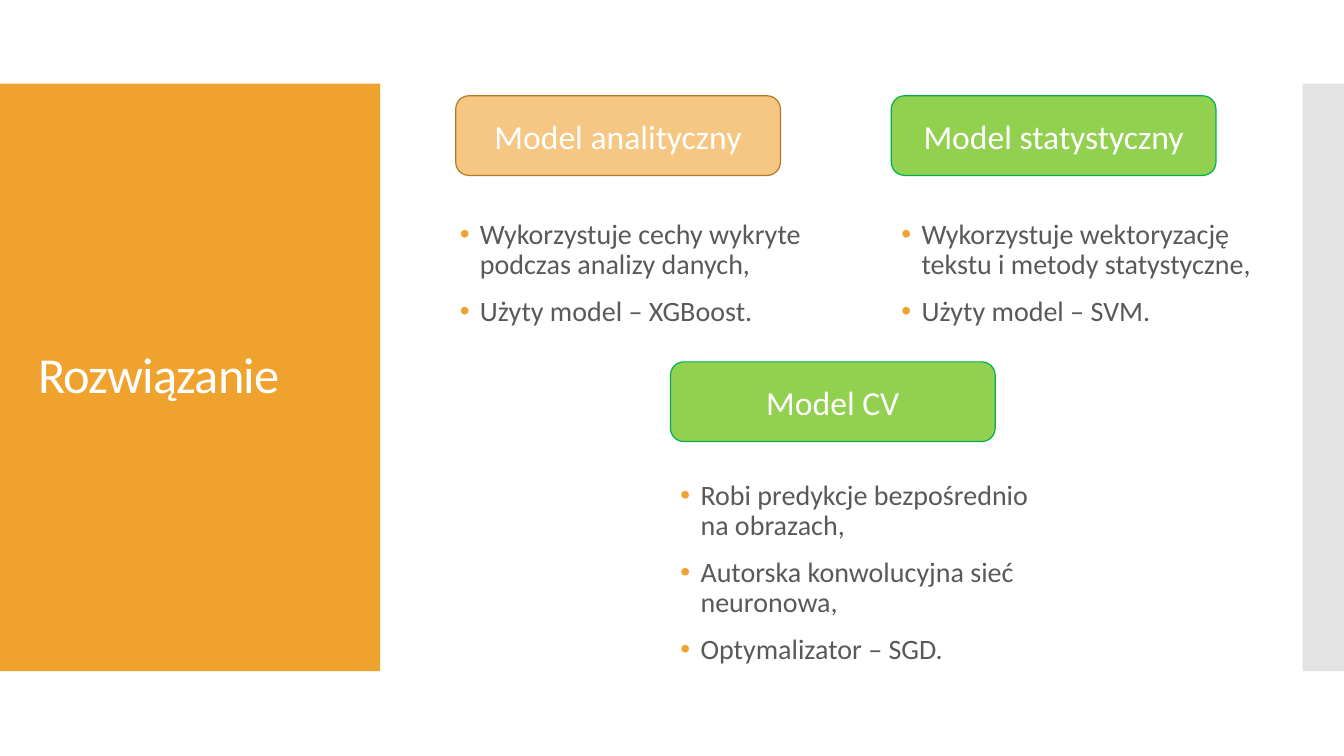
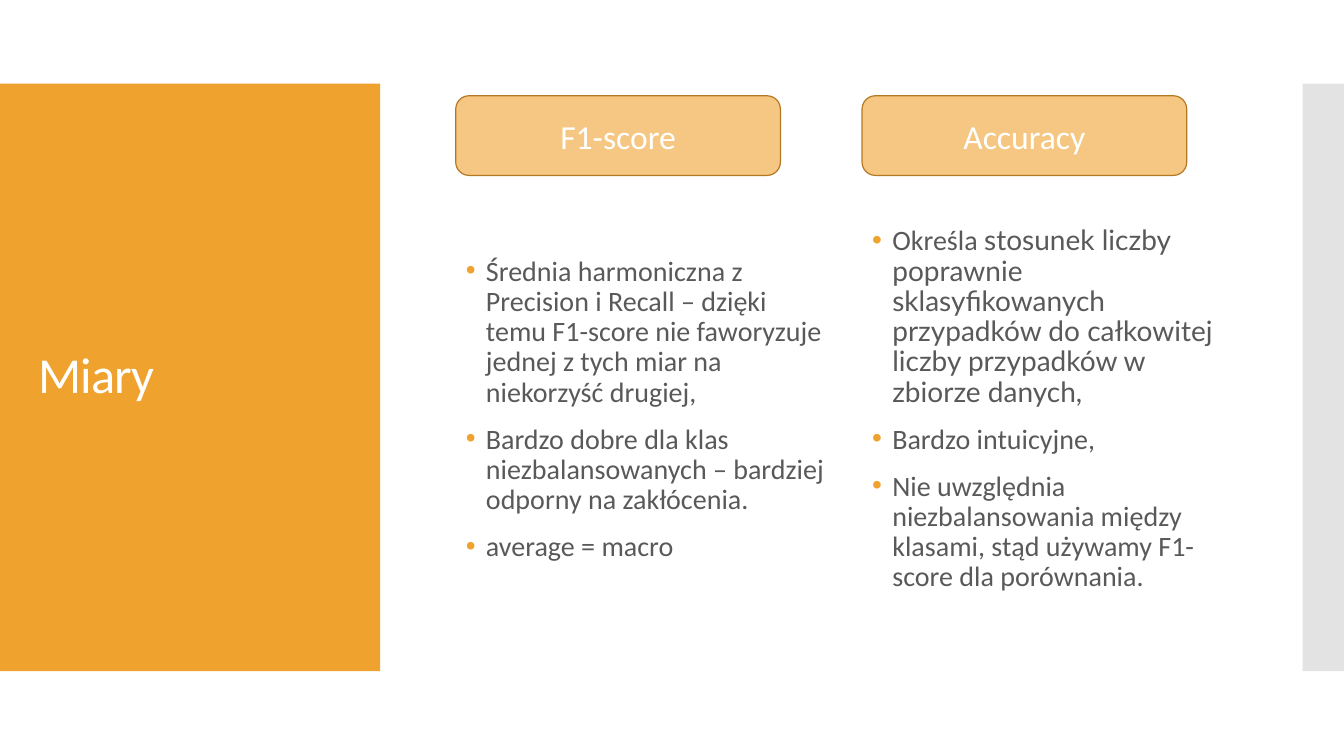
from lxml.etree import SubElement
from pptx import Presentation
from pptx.dml.color import RGBColor
from pptx.enum.shapes import MSO_SHAPE
from pptx.enum.text import MSO_ANCHOR, MSO_AUTO_SIZE, PP_ALIGN
from pptx.oxml.ns import qn
from pptx.util import Inches, Pt

COLORS = {
    "accent": "F0A22E",
    "side": "C8C8C8",
    "white": "FFFFFF",
    "text": "595959",
    "orange_fill": "F6C782",
    "orange_line": "B27822",
    "green_fill": "92D050",
    "green_line": "00B050",
}
FONT = "Calibri"
TITLE_BOX = (0.28, 1.23, 3.22, 5.03)
BANDS = [
    {"box": (0, 0.83, 3.77, 5.83), "color": "accent", "opacity": 100},
    {"box": (12.92, 0.83, 0.42, 5.83), "color": "side", "opacity": 50},
]
LABEL_WIDTH, LABEL_HEIGHT = 3.22, 0.79
LIST_WIDTH = 3.8
TOP_ROW = 0.95

# Each bullet is a list of (text, font) runs or a plain string.
SLIDES = [
    {
        "title": "Rozwiązanie",
        "list_height": 2,
        "columns": [
            {
                "label": "Model analityczny", "tone": "orange",
                "at": (4.52, TOP_ROW), "list_at": (4.46, 1.72),
                "bullets": [
                    "Wykorzystuje cechy wykryte podczas analizy danych,",
                    "Użyty model – XGBoost.",
                ],
            },
            {
                "label": "Model statystyczny", "tone": "green",
                "at": (8.84, TOP_ROW), "list_at": (8.84, 1.72),
                "bullets": [
                    "Wykorzystuje wektoryzację tekstu i metody statystyczne,",
                    "Użyty model – SVM.",
                ],
            },
            {
                "label": "Model CV", "tone": "green",
                "at": (6.65, 3.59), "list_at": (6.65, 4.69),
                "bullets": [
                    "Robi predykcje bezpośrednio na obrazach,",
                    "Autorska konwolucyjna sieć neuronowa,",
                    "Optymalizator – SGD.",
                ],
            },
        ],
    },
    {
        "title": "Miary",
        "list_height": 4.31,
        "columns": [
            {
                "label": "F1-score", "tone": "orange",
                "at": (4.52, TOP_ROW), "list_at": (4.52, 1.91),
                "bullets": [
                    "Średnia harmoniczna z Precision i Recall – dzięki temu F1-score "
                    "nie faworyzuje jednej z tych miar na niekorzyść drugiej,",
                    "Bardzo dobre dla klas niezbalansowanych – bardziej odporny "
                    "na zakłócenia.",
                    "average = macro",
                ],
            },
            {
                "label": "Accuracy", "tone": "orange",
                "at": (8.55, TOP_ROW), "list_at": (8.55, 1.91),
                "bullets": [
                    [
                        ("Określa ", FONT),
                        ("stosunek liczby poprawnie sklasyfikowanych przypadków do "
                         "całkowitej liczby przypadków w zbiorze danych,", "Lato"),
                    ],
                    "Bardzo intuicyjne,",
                    "Nie uwzględnia niezbalansowania między klasami, stąd używamy "
                    "F1-score dla porównania.",
                ],
            },
        ],
    },
]


def rgb(name):
    return RGBColor.from_string(COLORS[name])


def place(shape, box):
    shape.left, shape.top, shape.width, shape.height = map(Inches, box)


def prepare_frame(shape):
    frame = shape.text_frame
    frame.word_wrap = True
    frame.auto_size = MSO_AUTO_SIZE.NONE
    frame.vertical_anchor = MSO_ANCHOR.MIDDLE
    return frame


def add_span(para, text, size, color, font=FONT):
    span = para.add_run()
    span.text = text
    span.font.name = font
    span.font.size = Pt(size)
    span.font.color.rgb = rgb(color)
    return span


def add_plain_shape(slide, kind, box, fill):
    shape = slide.shapes.add_shape(kind, *map(Inches, box))
    shape.shadow.inherit = False
    shape.fill.solid()
    shape.fill.fore_color.rgb = rgb(fill)
    return shape


def add_bands_to_layout(layout, slide):
    """Draw the bands on a slide, then move them to its layout."""
    for band in BANDS:
        shape = add_plain_shape(slide, MSO_SHAPE.RECTANGLE, band["box"], band["color"])
        shape.line.fill.background()
        if band["opacity"] < 100:
            color = next(shape.element.spPr.iter(qn("a:srgbClr")))
            SubElement(color, qn("a:alpha"), val=str(band["opacity"] * 1000))
        layout.shapes.element.insert(2, shape.element)


def fill_title(title, text):
    place(title, TITLE_BOX)
    para = prepare_frame(title).paragraphs[0]
    para.alignment = PP_ALIGN.LEFT
    para.line_spacing = 0.9
    span = add_span(para, text, 36, "white")
    span.font._element.set("spc", "-60")


def add_label(slide, column):
    box = (*column["at"], LABEL_WIDTH, LABEL_HEIGHT)
    tone = column["tone"]
    label = add_plain_shape(slide, MSO_SHAPE.ROUNDED_RECTANGLE, box, tone + "_fill")
    label.line.color.rgb = rgb(tone + "_line")
    label.line.width = Pt(0.85)
    para = prepare_frame(label).paragraphs[0]
    para.alignment = PP_ALIGN.CENTER
    add_span(para, column["label"], 24, "white")


def add_bullet_mark(para):
    properties = para._p.get_or_add_pPr()
    properties.set("marL", str(Inches(0.2)))
    properties.set("indent", str(-Inches(0.2)))
    color = SubElement(properties, qn("a:buClr"))
    SubElement(color, qn("a:srgbClr"), val=COLORS["accent"])
    SubElement(properties, qn("a:buFont"), typeface="Arial")
    SubElement(properties, qn("a:buChar"), char="•")


def fill_list(box, bullets):
    frame = prepare_frame(box)
    for index, bullet in enumerate(bullets):
        para = frame.add_paragraph() if index else frame.paragraphs[0]
        add_bullet_mark(para)
        para.line_spacing = 0.9
        para.space_before = Pt(12 if index else 0)
        spans = [(bullet, FONT)] if isinstance(bullet, str) else bullet
        for text, font in spans:
            add_span(para, text, 20, "text", font)


def build_slide(slide, content):
    fill_title(slide.shapes.title, content["title"])
    bodies = list(slide.placeholders)[1:]
    for column in content["columns"]:
        add_label(slide, column)
        box = bodies.pop(0) if bodies else slide.shapes.add_textbox(0, 0, 0, 0)
        place(box, (*column["list_at"], LIST_WIDTH, content["list_height"]))
        fill_list(box, column["bullets"])


def main():
    deck = Presentation()
    deck.slide_width, deck.slide_height = Inches(13.33), Inches(7.5)
    layout = deck.slide_layouts.get_by_name("Two Content")
    pages = [deck.slides.add_slide(layout) for _ in SLIDES]
    add_bands_to_layout(layout, pages[0])
    for page, content in zip(pages, SLIDES):
        build_slide(page, content)
    deck.save("out.pptx")


if __name__ == "__main__":
    main()
